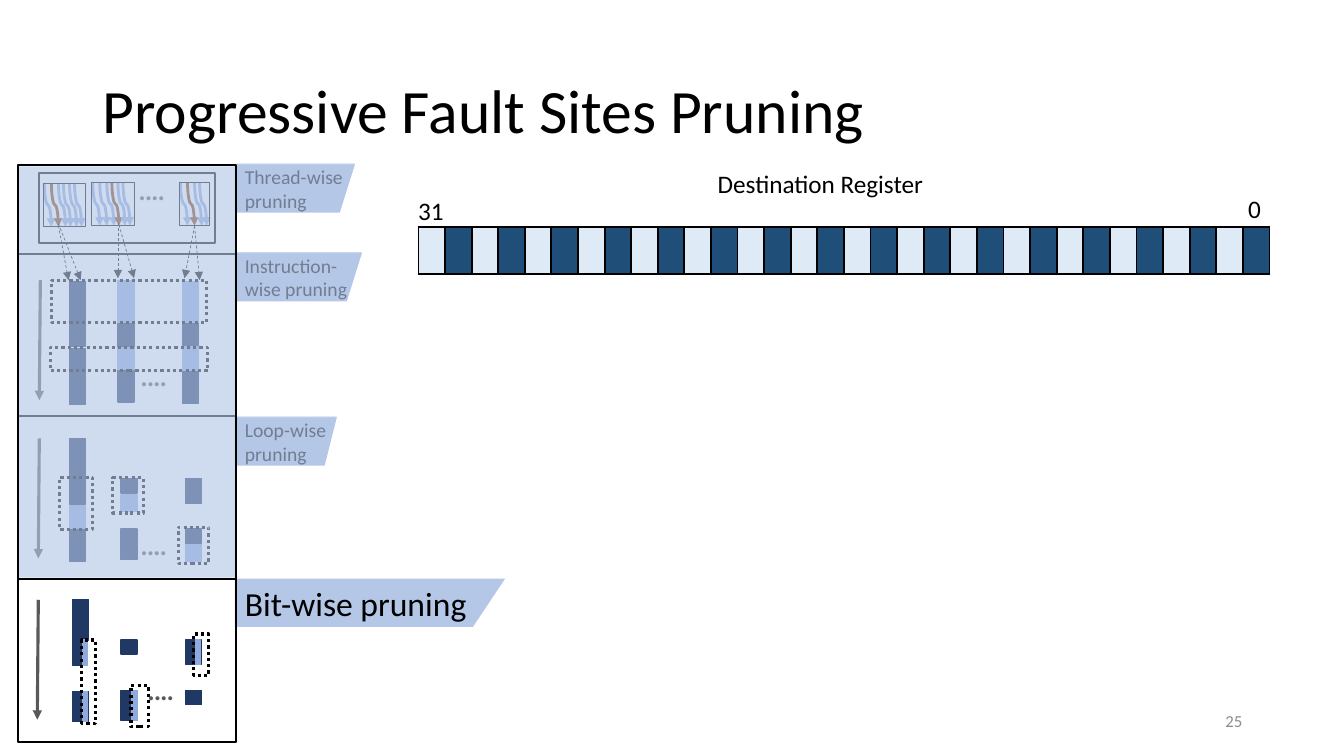
from pptx import Presentation
from pptx.dml.color import RGBColor
from pptx.enum.dml import MSO_LINE
from pptx.enum.shapes import MSO_CONNECTOR, MSO_SHAPE
from pptx.enum.text import MSO_ANCHOR, PP_ALIGN
from pptx.oxml.ns import qn
from pptx.util import Inches, Pt
from lxml.etree import SubElement

COLORS = {
    "black": "000000", "grey": "8C8C8C", "dark_grey": "595959",
    "tab": "B4C7E7", "navy": "203864", "blue": "8FAADC", "brown": "843C0B",
    "bit_light": "DEEBF7", "bit_dark": "1F4E79",
}
FONT = "Calibri"


def rgb(name):
    return RGBColor.from_string(COLORS[name])


def write_text(shape, text, size=18, color="black", align=PP_ALIGN.LEFT,
               anchor=MSO_ANCHOR.TOP, wrap=True, line_spacing=None, tracking=None):
    frame = shape.text_frame
    frame.word_wrap = wrap
    frame.vertical_anchor = anchor
    paragraph = frame.paragraphs[0]
    paragraph.alignment = align
    paragraph.line_spacing = line_spacing
    run = paragraph.add_run()
    run.text = text
    run.font.size, run.font.name = Pt(size), FONT
    run.font.color.rgb = rgb(color)
    if tracking is not None:
        run._r.get_or_add_rPr().set("spc", str(int(tracking * 100)))


class SlideBuilder:
    def __init__(self, slide):
        self.slide = slide
        self.shapes = slide.shapes

    def open_group(self):
        self.shapes = self.slide.shapes.add_group_shape().shapes

    def close_group(self):
        self.shapes = self.slide.shapes

    def paint(self, shape, fill=None, line=None, weight=1, dash=None, alpha=None):
        shape.shadow.inherit = False
        if fill:
            shape.fill.solid()
            shape.fill.fore_color.rgb = rgb(fill)
            if alpha:
                color = shape._element.spPr.find(".//" + qn("a:srgbClr"))
                SubElement(color, qn("a:alpha"), val=str(alpha * 1000))
        else:
            shape.fill.background()
        if line:
            shape.line.color.rgb = rgb(line)
            shape.line.width = Pt(weight)
            if dash:
                shape.line.dash_style = dash
        else:
            shape.line.fill.background()

    def rectangle(self, left, top, width, height, **style):
        shape = self.shapes.add_shape(MSO_SHAPE.RECTANGLE, Inches(left), Inches(top),
                                      Inches(width), Inches(height))
        self.paint(shape, **style)
        return shape

    def bar(self, left, top, height, color="navy", width=0.16):
        self.rectangle(left, top, width, height, fill=color, line=color)

    def tab(self, left, top, right, slant, alpha=None):
        height = 0.48
        builder = self.shapes.build_freeform(Inches(left), Inches(top))
        corners = [(right, top), (right - slant, top + height), (left, top + height)]
        builder.add_line_segments([(Inches(x), Inches(y)) for x, y in corners])
        shape = builder.convert_to_shape()
        self.paint(shape, fill="tab", alpha=alpha)
        return shape

    def text(self, left, top, width, height, text, **style):
        box = self.shapes.add_textbox(Inches(left), Inches(top), Inches(width), Inches(height))
        write_text(box, text, **style)

    def line(self, start, end, color="black", weight=1.5, dash=None, arrow=False,
             kind=MSO_CONNECTOR.STRAIGHT, source=None):
        connector = self.shapes.add_connector(kind, *map(Inches, (*start, *end)))
        if source is not None:
            connector.begin_connect(source, 2)
        connector.line.color.rgb = rgb(color)
        connector.line.width = Pt(weight)
        if dash:
            connector.line.dash_style = dash
        properties = connector._element.spPr
        if arrow:
            SubElement(properties.find(qn("a:ln")), qn("a:tailEnd"), type="triangle")
        SubElement(properties, qn("a:effectLst"))
        return connector

    def thread(self, x, top, height, color):
        """A curve that runs down and a little right: a sideways curve turned by 270 degrees."""
        drift = 0.07
        middle_x, middle_y = x + drift / 2, top + height / 2
        curve = self.line((middle_x + height / 2, middle_y - drift / 2),
                          (middle_x - height / 2, middle_y + drift / 2),
                          color, 2, arrow=True, kind=MSO_CONNECTOR.CURVE)
        curve._element.spPr.find(qn("a:xfrm")).set("rot", str(270 * 60000))

    def register(self, left, top, width, height, bits):
        table = self.shapes.add_table(1, bits, Inches(left), Inches(top),
                                      Inches(width), Inches(height)).table
        table.first_row = table.horz_banding = False
        for index in range(bits):
            table.columns[index].width = Inches(width / bits)
            cell = table.cell(0, index)
            properties = cell._tc.get_or_add_tcPr()
            for side in ("a:lnL", "a:lnR", "a:lnT", "a:lnB"):
                border = SubElement(properties, qn(side), w=str(Pt(1.5)))
                fill = SubElement(border, qn("a:solidFill"))
                SubElement(fill, qn("a:srgbClr"), val=COLORS["black"])
            cell.fill.solid()
            cell.fill.fore_color.rgb = rgb("bit_dark" if index % 2 else "bit_light")


def main():
    presentation = Presentation()
    presentation.slide_width, presentation.slide_height = Inches(13.33), Inches(7.5)
    builder = SlideBuilder(presentation.slides.add_slide(presentation.slide_layouts[6]))

    # Title and slide number
    builder.text(0.92, 0.4, 11.5, 1.45, "Progressive Fault Sites Pruning", size=44,
                 anchor=MSO_ANCHOR.MIDDLE, line_spacing=0.9)
    builder.text(9.42, 6.95, 3, 0.4, "25", size=12, color="grey",
                 align=PP_ALIGN.RIGHT, anchor=MSO_ANCHOR.MIDDLE)

    # Stage tabs, the finished stages veiled
    stages = [("Thread-wise pruning", 1.63, 3.52, 0.15, 14),
              ("Instruction-wise pruning", 2.51, 3.59, 0.15, 14),
              ("Loop-wise pruning", 4.14, 3.34, 0.12, 14),
              ("Bit-wise pruning", 5.74, 5.01, 0.32, 24)]
    for label, top, right, slant, size in stages:
        tab = builder.tab(2.33, top, right, slant)
        tab.text_frame.margin_right = Inches(0.05)
        write_text(tab, label, size=size, anchor=MSO_ANCHOR.MIDDLE)
    for _, top, right, slant, _ in stages[:-1]:
        builder.tab(2.35, top - 0.01, right, slant, alpha=63)

    # Thread stage
    builder.open_group()
    builder.rectangle(0.39, 1.72, 1.74, 0.69, line="black", weight=1.5)
    thread_offsets = (0, 0.07, 0.14, 0.19, 0.25, 0.3)
    for left, top, width, count, kept in [(0.43, 1.82, 0.42, 6, 1), (0.91, 1.81, 0.42, 6, 3),
                                          (1.78, 1.81, 0.3, 4, 1)]:
        for index, offset in enumerate(thread_offsets[:count]):
            builder.thread(left + 0.01 + offset, top, 0.43, "brown" if index == kept else "blue")
        block = builder.rectangle(left, top, width, 0.43, line="black", weight=0.75)

    # Kept threads lead to instruction bars; the last pair leaves the last block
    for start, end, source in [((0.58, 2.24), (0.68, 2.78), None), ((0.58, 2.22), (0.8, 2.78), None),
                               ((1.17, 2.21), (1.17, 2.76), None), ((1.18, 2.23), (1.33, 2.76), None),
                               ((1.93, 2.24), (1.83, 2.76), block), ((1.93, 2.24), (1.98, 2.78), block)]:
        builder.line(start, end, weight=0.5, dash=MSO_LINE.DASH, arrow=True, source=source)

    # Time arrows and stage dividers
    for x, top in [(0.4, 2.78), (0.39, 4.35), (0.38, 5.95)]:
        builder.line((x, top), (x - 0.01, top + 1.19), "dark_grey", 2.25, arrow=True)
    for y in (2.52, 4.13, 5.74):
        builder.line((0.17, y), (2.33, y))

    # Bars of the three lower stages: top, height, colour
    columns = [
        (0.69, [(2.79, 0.4, "navy"), (3.2, 0.24, "navy"), (3.46, 0.22, "navy"), (3.66, 0.35, "navy")]),
        (1.17, [(2.78, 0.42, "blue"), (3.21, 0.24, "navy"), (3.45, 0.23, "blue"), (3.68, 0.31, "navy")]),
        (1.81, [(2.79, 0.42, "blue"), (3.21, 0.22, "navy"), (3.44, 0.24, "blue"), (3.69, 0.31, "navy")]),
        (0.69, [(5.22, 0.35, "navy"), (4.35, 0.4, "navy"), (4.76, 0.24, "navy"), (5.02, 0.22, "blue")]),
        (1.2, [(4.75, 0.14, "navy"), (4.91, 0.16, "blue"), (5.25, 0.3, "navy")]),
        (1.84, [(4.75, 0.24, "navy"), (5.25, 0.14, "navy"), (5.4, 0.17, "blue")]),
        (0.72, [(5.95, 0.4, "navy"), (6.86, 0.3, "navy")]),
        (1.2, [(6.35, 0.14, "navy"), (6.85, 0.3, "navy")]),
        (1.84, [(6.35, 0.24, "navy"), (6.85, 0.14, "navy")]),
    ]
    for left, bars in columns:
        for top, height, color in bars:
            builder.bar(left, top, height, color)
    builder.bar(0.72, 6.35, 0.25, width=0.1)
    for left, top, height in [(0.82, 6.35, 0.25), (0.82, 6.86, 0.3), (1.31, 6.85, 0.3), (1.94, 6.35, 0.24)]:
        builder.bar(left, top, height, "blue", width=0.05)

    # Dotted frames around pruned parts, then ellipses and the outer frame
    for frame in [(0.51, 2.78, 1.54, 0.42), (0.5, 3.45, 1.56, 0.23), (0.59, 4.74, 0.33, 0.51),
                  (1.12, 4.74, 0.3, 0.35), (1.77, 5.23, 0.3, 0.36), (0.81, 6.35, 0.14, 0.83),
                  (1.3, 6.8, 0.17, 0.41), (1.92, 6.29, 0.15, 0.41)]:
        builder.rectangle(*frame, line="black", weight=2.25, dash=MSO_LINE.ROUND_DOT)
    for left, top in [(1.27, 1.61), (1.29, 3.45), (1.29, 5.13), (1.36, 6.57)]:
        builder.text(left, top, 0.54, 0.6, "....", size=24, color="dark_grey", wrap=False, tracking=-1.5)
    builder.rectangle(0.18, 1.64, 2.16, 5.72, line="black", weight=1.5)
    builder.close_group()
    builder.rectangle(0.19, 1.65, 2.14, 4.08, fill="tab", alpha=63)

    # Destination register
    builder.register(4.15, 2.25, 8.45, 0.47, bits=32)
    for left, top, width, label in [(12.28, 1.87, 0.33, "0"), (4.05, 1.89, 0.46, "31"),
                                    (7.02, 1.62, 2.27, "Destination Register")]:
        builder.text(left, top, width, 0.4, label, wrap=False)

    presentation.save("out.pptx")


if __name__ == "__main__":
    main()
